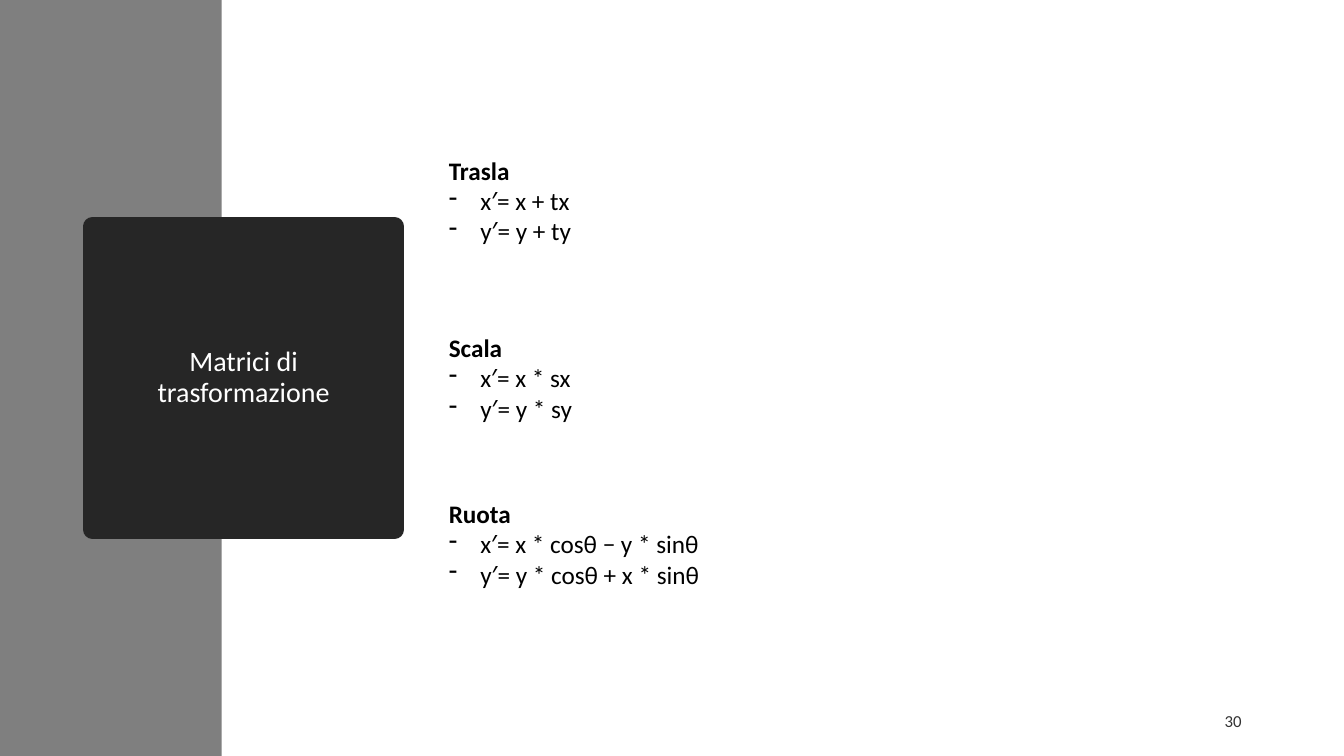
from lxml.etree import SubElement
from pptx import Presentation
from pptx.dml.color import RGBColor
from pptx.enum.shapes import MSO_SHAPE as Preset
from pptx.enum.text import MSO_ANCHOR as Anchor, MSO_AUTO_SIZE as AutoSize, PP_ALIGN as Align
from pptx.oxml.ns import qn
from pptx.util import Pt

EMU_PER_PX = 9525
FONT = "Calibri"
BULLET_INDENT = 30
FORMULA_LEFT, FORMULA_HEIGHT = 418, 97
TRANSFORMATIONS = [
    ("Trasla", ["x′= x + tx", "y′= y + ty"], 143, 137),
    ("Scala", ["x′= x * sx", "y′= y * sy"], 312, 139),
    ("Ruota", ["x′= x * cosθ − y * sinθ", "y′= y * cosθ + x * sinθ"], 470, 261),
]


def px(length):
    """Turn pixels into EMU."""
    return length * EMU_PER_PX


def color(hex_code):
    """Turn a hex string into a colour."""
    return RGBColor.from_string(hex_code)


def paint(shape, hex_code):
    """Fill a shape with one colour."""
    shape.fill.solid()
    shape.fill.fore_color.rgb = color(hex_code)


def style(paragraph, size, hex_code, bold=False):
    """Format every run of a paragraph."""
    for run in paragraph.runs:
        run.font.name = FONT
        run.font.size = Pt(size)
        run.font.bold = bold
        run.font.color.rgb = color(hex_code)


def add_dash(paragraph):
    """Give a paragraph a hanging dash bullet."""
    properties = paragraph._p.get_or_add_pPr()
    properties.set("marL", str(px(BULLET_INDENT)))
    properties.set("indent", str(-px(BULLET_INDENT)))
    SubElement(properties, qn("a:buFontTx"))
    SubElement(properties, qn("a:buChar"), char="-")


def add_side_band(slide):
    """Draw the grey band behind the title."""
    band = slide.shapes.add_shape(Preset.RECTANGLE, 0, 0, px(211), px(720))
    band.shadow.inherit = False
    paint(band, "7F7F7F")
    band.line.fill.background()
    slide.shapes.title.element.addprevious(band.element)


def set_title(slide, text):
    """Place the title in a dark square with rounded edges."""
    title = slide.shapes.title
    title.left, title.top, title.width, title.height = px(88), px(216), px(288), px(288)
    paint(title, "262626")
    title.line.width = Pt(13.75)
    title.line.color.rgb = color("262626")
    SubElement(title.line._get_or_add_ln(), qn("a:round"))
    frame = title.text_frame
    frame.text = text
    frame.auto_size = AutoSize.NONE
    frame.word_wrap = True
    frame.vertical_anchor = Anchor.MIDDLE
    frame.margin_left = frame.margin_right = px(40)
    heading = frame.paragraphs[0]
    heading.alignment = Align.CENTER
    heading.line_spacing = 0.9
    style(heading, 20, "FFFFFF")


def add_transformation(slide, name, formulas, top, width):
    """Write a transformation's name above its formulas."""
    box = slide.shapes.add_textbox(px(FORMULA_LEFT), px(top), px(width), px(FORMULA_HEIGHT))
    frame = box.text_frame
    frame.word_wrap = False
    frame.auto_size = AutoSize.SHAPE_TO_FIT_TEXT
    frame.text = "\n".join([name, *formulas])
    heading, *lines = frame.paragraphs
    style(heading, 18, "000000", bold=True)
    for line in lines:
        add_dash(line)
        style(line, 18, "000000")


def add_page_number(slide, number):
    """Write the page number at the lower right."""
    box = slide.shapes.add_textbox(px(904), px(667), px(288), px(38))
    frame = box.text_frame
    frame.word_wrap = True
    frame.vertical_anchor = Anchor.MIDDLE
    frame.text = number
    frame.paragraphs[0].alignment = Align.RIGHT
    style(frame.paragraphs[0], 12, "333333")


def main():
    """Build and save the slide."""
    deck = Presentation()
    deck.slide_width, deck.slide_height = px(1280), px(720)
    slide = deck.slides.add_slide(deck.slide_layouts[5])
    add_side_band(slide)
    set_title(slide, "Matrici di trasformazione")
    add_page_number(slide, "30")
    for name, formulas, top, width in TRANSFORMATIONS:
        add_transformation(slide, name, formulas, top, width)
    deck.save("out.pptx")


if __name__ == "__main__":
    main()
